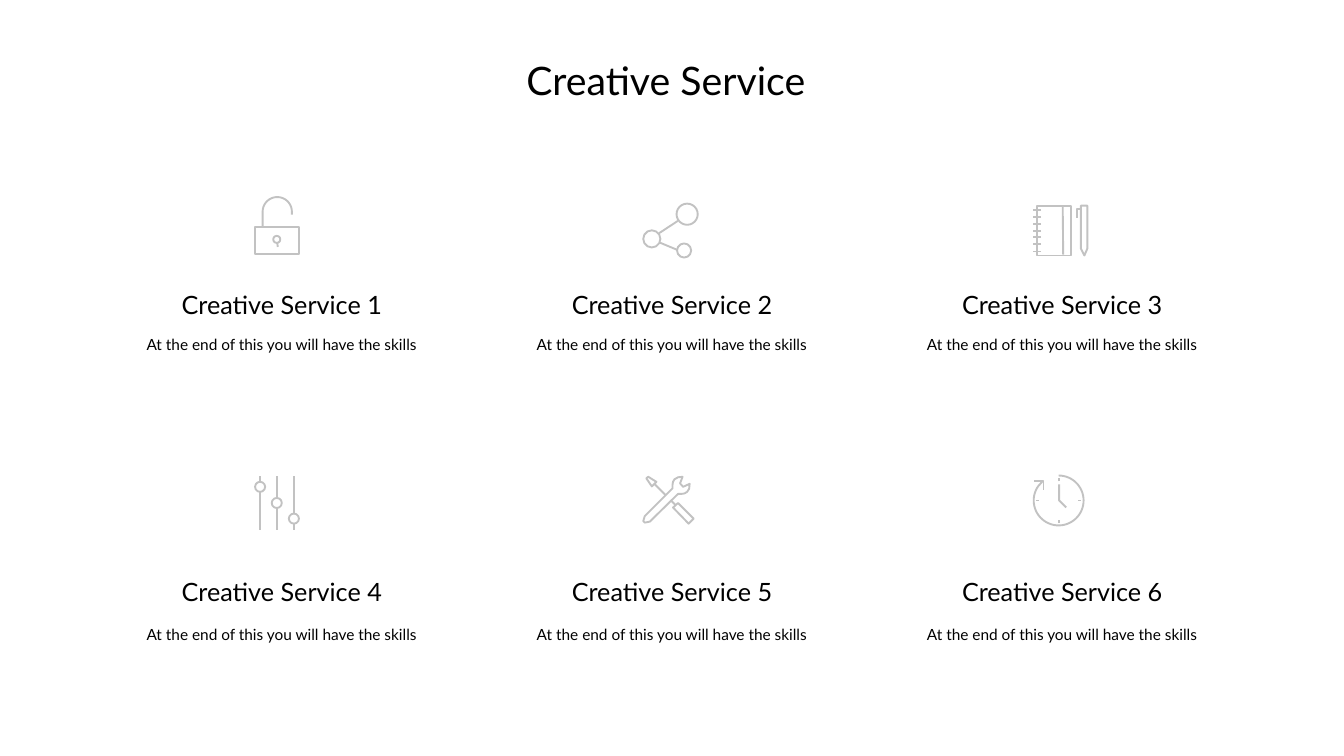
"""Build the Creative Service slide: six outlined icons with captions."""
import math

import pptx
import pptx.dml.color
import pptx.enum.shapes
import pptx.enum.text
import pptx.oxml.ns
import pptx.util
from lxml import etree

PX = 9144
GREY = pptx.dml.color.RGBColor(0xC2, 0xC2, 0xC2)
BLACK = pptx.dml.color.RGBColor(0x00, 0x00, 0x00)
SHAPE = pptx.enum.shapes.MSO_SHAPE
ALIGN = pptx.enum.text.PP_ALIGN


def arc(x, y, radius, start, end):
    """Return points along an arc, clockwise, with angles in degrees."""
    steps = max(2, round(abs(end - start) / 6))
    angles = [math.radians(start + (end - start) * i / steps) for i in range(steps + 1)]
    return [(x + radius * math.cos(a), y + radius * math.sin(a)) for a in angles]


class Painter:
    """Draws outlined icons and text on the current slide."""

    font_name = "Lato"
    line_width = pptx.util.Pt(2.69)
    inset = 6 * PX

    def __init__(self, slide):
        self.slide = slide
        self.icon = slide.shapes

    def start_icon(self):
        self.icon = self.slide.shapes.add_group_shape().shapes

    def style_line(self, line):
        line.color.rgb = GREY
        line.width = self.line_width

    def style_outline(self, shape):
        shape.shadow.inherit = False
        shape.fill.background()
        self.style_line(shape.line)

    def box(self, left, top, width, height, kind=SHAPE.RECTANGLE):
        self.style_outline(self.icon.add_shape(kind, left * PX, top * PX, width * PX, height * PX))

    def circle(self, left, top, size):
        self.box(left, top, size, size, SHAPE.OVAL)

    def line(self, x1, y1, x2, y2):
        connector = self.icon.add_connector(
            pptx.enum.shapes.MSO_CONNECTOR.STRAIGHT, x1 * PX, y1 * PX, x2 * PX, y2 * PX)
        self.style_line(connector.line)
        etree.SubElement(connector._element.spPr, pptx.oxml.ns.qn("a:effectLst"))

    def outline(self, points, close=False):
        points = [(round(x * PX), round(y * PX)) for x, y in points]
        builder = self.icon.build_freeform(*points[0])
        builder.add_line_segments(points[1:], close=close)
        self.style_outline(builder.convert_to_shape())

    def text(self, words, left, top, width, height, size, align, wrap=False, spacing=None):
        box = self.slide.shapes.add_textbox(left * PX, top * PX, width * PX, height * PX)
        frame = box.text_frame
        frame.word_wrap = wrap
        frame.auto_size = pptx.enum.text.MSO_AUTO_SIZE.SHAPE_TO_FIT_TEXT
        frame.vertical_anchor = pptx.enum.text.MSO_ANCHOR.MIDDLE
        frame.margin_left = frame.margin_right = self.inset
        frame.margin_top = frame.margin_bottom = self.inset
        paragraph = frame.paragraphs[0]
        paragraph.text = words
        paragraph.alignment = align
        paragraph.line_spacing = spacing
        paragraph.font.name = self.font_name
        paragraph.font.size = pptx.util.Pt(size)
        paragraph.font.color.rgb = BLACK


def draw_padlock(painter):
    painter.start_icon()
    painter.box(506, 450, 88, 54)
    painter.outline([(521, 449), *arc(550, 420, 29, 180, 360), (579, 426)])
    painter.circle(542, 468, 14)
    painter.line(550, 482, 551, 490)


def draw_network(painter):
    painter.start_icon()
    for left, top, size in ((1342, 404, 42), (1276, 457, 34), (1343, 483, 28)):
        painter.circle(left, top, size)
    painter.line(1344, 496, 1308, 481)
    painter.line(1307, 463, 1345, 438)


def draw_notebook(painter):
    painter.start_icon()
    painter.outline([(2157, 408), (2157, 493), (2151, 507), (2144, 493), (2144, 408)], close=True)
    painter.outline([(2144, 415), (2137, 415), (2137, 432)])
    painter.box(2057, 408, 68, 99)
    painter.line(2108, 408, 2109, 505)
    for ring in range(7):
        y = round(417 + 13.6 * ring)
        painter.line(2065, y, 2050, y)


def draw_sliders(painter):
    painter.start_icon()
    for x, knob_top in ((516, 956), (549, 988), (583, 1019)):
        painter.circle(x - 10, knob_top, 20)
        painter.line(x, 945, x, knob_top)
        painter.line(x, knob_top + 20, x, 1051)


def draw_tools(painter):
    painter.start_icon()
    painter.line(1332, 994, 1340, 1002)
    painter.outline([(1335, 1007), (1345, 998), (1376, 1029), (1366, 1039)], close=True)
    painter.outline([(1293, 965), (1302, 956), (1286, 946), (1282, 949)], close=True)
    painter.line(1320, 982, 1298, 960)
    painter.outline([
        (1368, 960), (1355, 966), (1349, 959), (1354, 946), (1345, 947), (1338, 951),
        (1335, 956), (1334, 962), (1334, 969), (1279, 1024), (1276, 1034), (1279, 1037),
        (1289, 1035), (1345, 980), (1352, 980), (1358, 979), (1363, 976), (1367, 970),
    ], close=True)


def draw_clock(painter):
    painter.start_icon()
    painter.outline([(2101, 961), (2101, 993), (2115, 1007)])
    painter.line(2055, 993, 2061, 993)
    painter.line(2139, 993, 2145, 993)
    painter.line(2101, 1038, 2101, 1031)
    painter.line(2101, 955, 2101, 948)
    painter.outline([*arc(2100, 993, 49.5, -90, 215), (2068, 955)])
    painter.outline([(2070, 972), (2070, 955), (2052, 955)])


def main():
    presentation = pptx.Presentation()
    presentation.slide_width = 2666 * PX
    presentation.slide_height = 1500 * PX
    painter = Painter(presentation.slides.add_slide(presentation.slide_layouts[6]))

    for draw in (draw_padlock, draw_network, draw_notebook, draw_sliders, draw_tools, draw_clock):
        draw(painter)

    painter.text("Creative Service", 1038, 107, 592, 104, 56, ALIGN.LEFT)
    for row, (heading_top, caption_top) in enumerate(((568, 641), (1137, 1216))):
        for column in range(3):
            offset = 774 * column
            number = 3 * row + column + 1
            painter.text(f"Creative Service {number}", 346 + offset, heading_top,
                         426, 71, 36, ALIGN.CENTER)
            painter.text("At the end of this you will have the skills", 245 + offset, caption_top,
                         627, 66, 22, ALIGN.CENTER, wrap=True, spacing=1.5)

    presentation.save("out.pptx")


if __name__ == "__main__":
    main()
